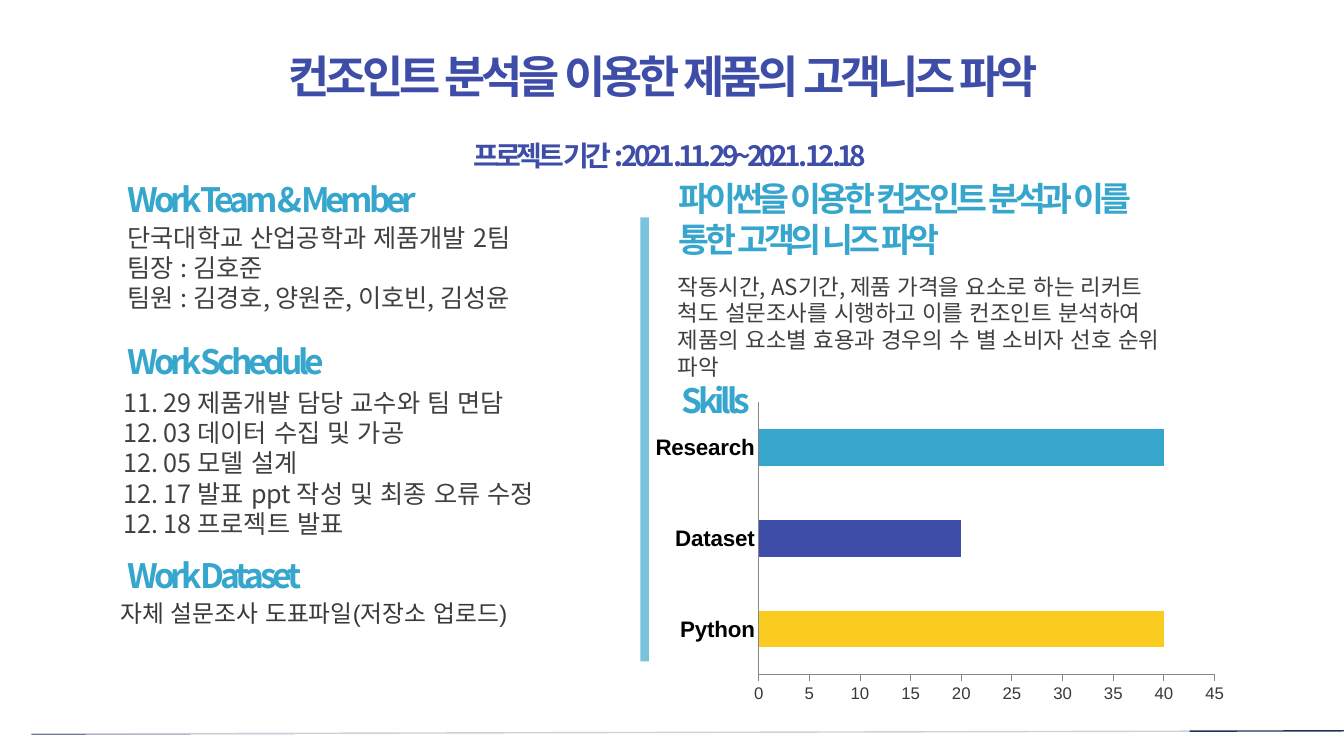
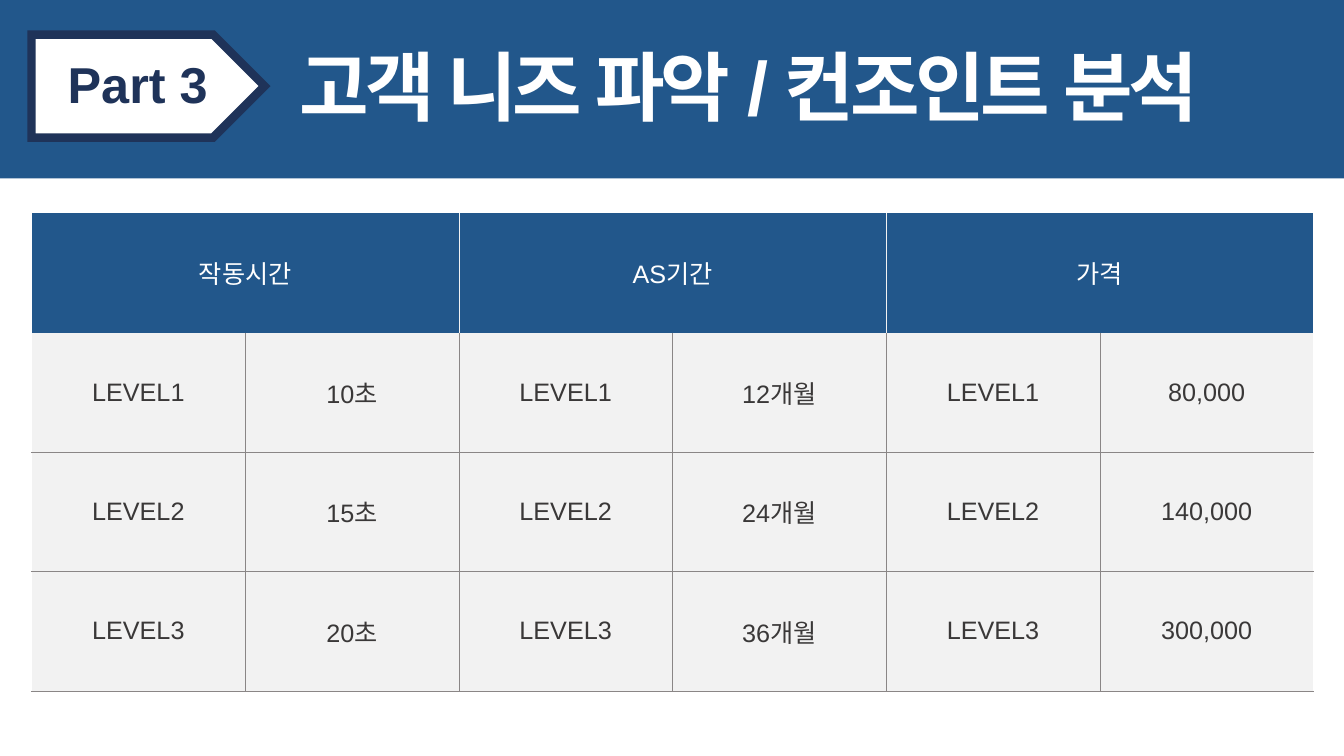
from dataclasses import dataclass

from lxml.etree import SubElement
from pptx import Presentation
from pptx.chart.data import CategoryChartData as ChartData
from pptx.dml.color import RGBColor as Rgb
from pptx.enum.chart import XL_CHART_TYPE as ChartType, XL_TICK_MARK as Tick
from pptx.enum.lang import MSO_LANGUAGE_ID as Language
from pptx.enum.shapes import MSO_CONNECTOR as Connector, MSO_SHAPE as Preset
from pptx.enum.text import MSO_ANCHOR as Anchor, MSO_AUTO_SIZE as AutoSize, PP_ALIGN as Align
from pptx.oxml.ns import qn
from pptx.util import Pt

PX = 9525  # EMU in one px, 96 px to the inch
TITLE_ONLY = 5
NO_TABLE_STYLE = "{2D5ABB26-0587-4C30-8999-92F81FD0307C}"


@dataclass(frozen=True)
class Theme:
    white: str = "FFFFFF"
    pale: str = "F2F2F2"
    grey: str = "8A8686"
    ink: str = "3A3838"
    text: str = "404040"
    black: str = "000000"
    navy: str = "1F3359"
    blue: str = "22578B"
    indigo: str = "3D4DA8"
    sky: str = "37A6CD"
    light_sky: str = "79C3DD"
    yellow: str = "F9CC1F"
    latin: str = "Arial"
    korean: str = "Noto Sans CJK KR"

    def style(self, size, color, bold=False, name=None, tracking=0):
        font = {"size": Pt(size), "bold": bold, "name": name or self.korean}
        return {"font": font, "color": color, "tracking": tracking}


T = Theme()
HEADLINE = T.style(32, T.indigo, True, tracking=-3)
PERIOD = T.style(20, T.indigo, True, tracking=-3)
HEADING = T.style(24, T.sky, True, tracking=-3)
BODY = T.style(18, T.text)
SUMMARY = T.style(16, T.text)
SOURCE = T.style(17, T.ink, name=T.latin)
PART = T.style(36, T.navy, True, T.latin)
BANNER = T.style(54, T.white, True, T.latin, -3)
TABLE_HEAD = T.style(18, T.white, name=T.latin)
TABLE_BODY = T.style(18, T.ink, name=T.latin)
CHART_TEXT = T.style(12, T.ink, name=T.latin)
CATEGORY = T.style(16, T.black, True, T.latin)


@dataclass(frozen=True)
class Box:
    x: int
    y: int
    w: int
    h: int

    def inner(self, x, y, w, h):
        return Box(self.x + x, self.y + y, w, h)

    @property
    def emu(self):
        return [length * PX for length in (self.x, self.y, self.w, self.h)]


def set_font(font, style):
    for field, value in style["font"].items():
        setattr(font, field, value)
    font.color.rgb = Rgb.from_string(style["color"])


def write(frame, lines, style, align=Align.LEFT):
    for index, line in enumerate(lines):
        paragraph = frame.add_paragraph() if index else frame.paragraphs[0]
        paragraph.alignment = align
        run = paragraph.add_run()
        run.text = line
        set_font(run.font, style)
        run.font.language_id = Language.KOREAN
        props = run.font._element
        SubElement(props, qn("a:ea")).set("typeface", T.korean)
        if style["tracking"]:
            props.set("spc", str(style["tracking"] * 100))


def add_text(slide, box, lines, style, align=Align.LEFT, wrap=True):
    frame = slide.shapes.add_textbox(*box.emu).text_frame
    frame.word_wrap = wrap
    write(frame, lines, style, align)


def place_title(slide, box, text, style, align=Align.LEFT):
    """Format the title placeholder and bring it in front of what is drawn so far."""
    title = slide.shapes.title
    title.left, title.top, title.width, title.height = box.emu
    frame = title.text_frame
    settings = {"word_wrap": True, "auto_size": AutoSize.NONE, "vertical_anchor": Anchor.TOP}
    for field, value in settings.items():
        setattr(frame, field, value)
    write(frame, [text], style, align)
    slide.shapes._spTree.append(title._element)


def add_block(slide, box, color, preset=Preset.RECTANGLE):
    block = slide.shapes.add_shape(preset, *box.emu)
    block.shadow.inherit = False
    block.fill.solid()
    block.fill.fore_color.rgb = Rgb.from_string(color)
    block.line.fill.background()
    return block


def add_backdrop(slide, box):
    """A thin footer rule, partly veiled by a translucent white panel."""
    left, top, width, height = box.emu
    rule = slide.shapes.add_connector(
        Connector.STRAIGHT, left + 30 * PX, top + 699 * PX, left + width, top + 696 * PX)
    rule.line.color.rgb = Rgb.from_string(T.navy)
    rule.line.width = Pt(1)
    SubElement(rule._element.spPr, qn("a:effectLst"))
    panel = add_block(slide, box.inner(0, 21, 1133, 678), T.white)
    color = panel.fill._xPr.find(qn("a:solidFill"))[0]
    SubElement(color, qn("a:alpha")).set("val", "78000")


def add_headline(slide, box):
    place_title(slide, box.inner(0, 0, 1051, 61),
                "컨조인트 분석을 이용한 제품의 고객니즈 파악", HEADLINE, Align.CENTER)
    add_text(slide, box.inner(210, 85, 644, 42),
             ["프로젝트 기간 : 2021 .11. 29~2021 . 12 .18"], PERIOD, Align.CENTER)


def add_work(slide, box):
    sections = [
        (0, "Work Team & Member", (7, 41), BODY,
         ["단국대학교 산업공학과 제품개발 2팀", "팀장 : 김호준",
          "팀원 : 김경호, 양원준, 이호빈, 김성윤"]),
        (154, "Work Schedule", (3, 198), BODY,
         ["11. 29 제품개발 담당 교수와 팀 면담", "12. 03 데이터 수집 및 가공",
          "12. 05 모델 설계", "12. 17 발표 ppt 작성 및 최종 오류 수정",
          "12. 18 프로젝트 발표"]),
        (358, "Work Dataset", (0, 399), SOURCE,
         ["자체 설문조사 도표파일(저장소 업로드)"]),
    ]
    for top, heading, (left, body_top), style, lines in sections:
        add_text(slide, box.inner(7, top, 333, 48), [heading], HEADING)
        add_text(slide, box.inner(left, body_top, box.w, 32 * len(lines)), lines, style)


def add_findings(slide, box):
    add_text(slide, box.inner(1, 0, 456, 87),
             ["파이썬을 이용한 컨조인트 분석과 이를 통한 고객의 니즈 파악"], HEADING)
    add_text(slide, box.inner(0, 90, box.w, 113),
             ["작동시간, AS기간, 제품 가격을 요소로 하는 리커트 척도 설문조사를 시행하고 "
              "이를 컨조인트 분석하여 제품의 요소별 효용과 경우의 수 별 소비자 선호 순위 파악"],
             SUMMARY)
    add_text(slide, box.inner(4, 192, 456, 47), ["Skills"], HEADING)


def add_skills_chart(slide, box):
    skills = {"Python": (40, T.yellow), "Dataset": (20, T.indigo), "Research": (40, T.sky)}
    data = ChartData()
    data.categories = list(skills)
    data.add_series("Series 1", [value for value, _ in skills.values()])
    chart = slide.shapes.add_chart(ChartType.BAR_CLUSTERED, *box.emu, data).chart
    chart.has_legend = chart.has_title = False
    set_font(chart.font, CHART_TEXT)
    plot = chart.plots[0]
    plot.gap_width = 150
    plot.vary_by_categories = False
    series = plot.series[0]
    for index, (_, color) in enumerate(skills.values()):
        fill = series.points[index].format.fill
        fill.solid()
        fill.fore_color.rgb = Rgb.from_string(color)
    axes = [(chart.category_axis, Tick.NONE, CATEGORY),
            (chart.value_axis, Tick.OUTSIDE, CHART_TEXT)]
    for axis, tick, style in axes:
        settings = {"has_major_gridlines": False, "major_tick_mark": tick,
                    "minor_tick_mark": Tick.NONE}
        for field, value in settings.items():
            setattr(axis, field, value)
        axis.format.line.color.rgb = Rgb.from_string(T.grey)
        set_font(axis.tick_labels.font, style)


def add_banner(slide, box):
    add_block(slide, box, T.blue)
    tag = add_block(slide, box.inner(30, 33, 222, 98), T.white, Preset.PENTAGON)
    tag.line.color.rgb = Rgb.from_string(T.navy)
    tag.line.width = Pt(6)
    SubElement(tag.line._ln, qn("a:miter")).set("lim", "800000")
    add_text(slide, box.inner(55, 46, 154, 68), ["Part 3"], PART, wrap=False)
    place_title(slide, box.inner(276, 33, 940, 97), "고객 니즈 파악 / 컨조인트 분석", BANNER)


def set_borders(cell, borders):
    """Draw borders given as side -> (colour, points); sides in the order L, R, T, B."""
    props = cell._tc.get_or_add_tcPr()
    for index, (side, (color, points)) in enumerate(borders.items()):
        line = props.makeelement(qn(f"a:ln{side}"), {"w": str(Pt(points))})
        SubElement(SubElement(line, qn("a:solidFill")), qn("a:srgbClr")).set("val", color)
        props.insert(index, line)


def fill_cell(cell, text, style, color, borders):
    cell.fill.solid()
    cell.fill.fore_color.rgb = Rgb.from_string(color)
    cell.vertical_anchor = Anchor.MIDDLE
    write(cell.text_frame, [text], style, Align.CENTER)
    set_borders(cell, borders)


def add_levels_table(slide, box):
    factors = {
        "작동시간": ["10초", "15초", "20초"],
        "AS기간": ["12개월", "24개월", "36개월"],
        "가격": ["80,000", "140,000", "300,000"],
    }
    last = 2 * len(factors) - 1
    table = slide.shapes.add_table(4, last + 1, *box.emu).table
    table.first_row = table.horz_banding = False
    table._tbl.tblPr.find(qn("a:tableStyleId")).text = NO_TABLE_STYLE
    split, rule, edge = (T.pale, 0.5), (T.grey, 0.25), (T.white, 1)
    for column, (factor, levels) in zip(range(0, last, 2), factors.items()):
        head = table.cell(0, column)
        head.merge(table.cell(0, column + 1))
        borders = {}
        if column > 0:
            borders["L"] = split
        if column + 1 < last:
            borders["R"] = split
        fill_cell(head, factor, TABLE_HEAD, T.blue, borders)
        for row, level in enumerate(levels, 1):
            for place, text in enumerate([f"LEVEL{row}", level], column):
                borders = {"L": rule if place else edge,
                           "R": rule if place < last else edge}
                if row > 1:
                    borders["T"] = rule
                borders["B"] = rule
                fill_cell(table.cell(row, place), text, TABLE_BODY, T.pale, borders)


def build_overview(slide, page):
    add_backdrop(slide, page)
    add_headline(slide, page.inner(106, 42, 1051, 127))
    add_work(slide, page.inner(105, 166, 521, 436))
    add_block(slide, page.inner(610, 207, 8, 423), T.light_sky)
    add_findings(slide, page.inner(636, 165, 498, 239))
    add_skills_chart(slide, page.inner(613, 377, 564, 298))


def build_levels(slide, page):
    add_banner(slide, page.inner(0, 0, page.w, 170))
    add_levels_table(slide, page.inner(30, 203, 1221, 455))


def main():
    page = Box(0, 0, 1280, 720)
    deck = Presentation()
    deck.slide_width, deck.slide_height = page.emu[2:]
    for build in (build_overview, build_levels):
        build(deck.slides.add_slide(deck.slide_layouts[TITLE_ONLY]), page)
    deck.save("out.pptx")


if __name__ == "__main__":
    main()
